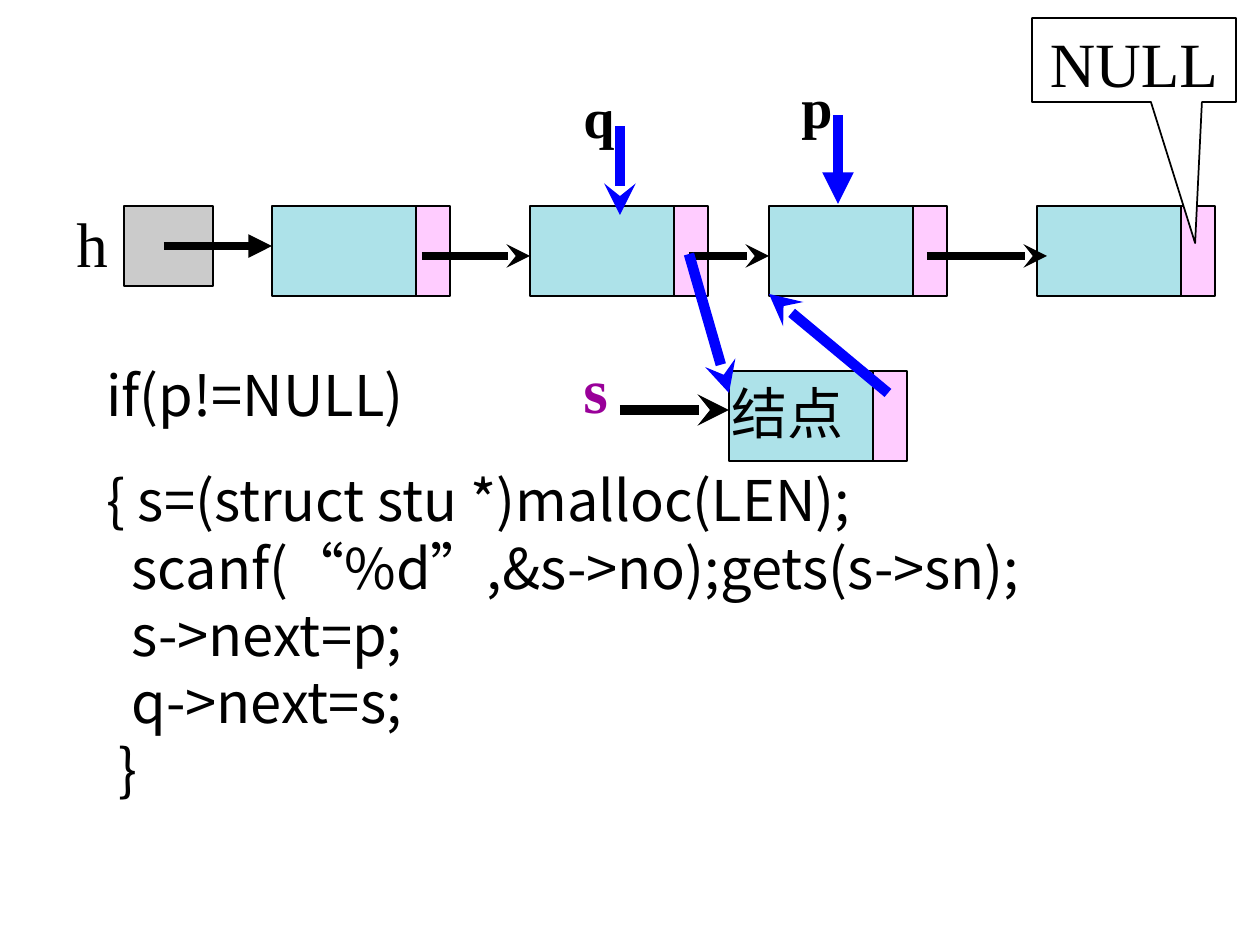
"""Build a slide that shows how a node is put into a linked list."""
from lxml import etree
from pptx import Presentation
from pptx.dml.color import RGBColor
from pptx.enum.shapes import MSO_CONNECTOR, MSO_SHAPE
from pptx.enum.text import MSO_ANCHOR, PP_ALIGN
from pptx.oxml.ns import qn
from pptx.util import Pt

RECT = MSO_SHAPE.RECTANGLE
CALL = MSO_SHAPE.RECTANGULAR_CALLOUT
LINE = MSO_CONNECTOR.STRAIGHT
LEFT, MID = PP_ALIGN.LEFT, PP_ALIGN.CENTER
TOP = MSO_ANCHOR.TOP
PX = 914400 / 126
SERIF, SANS = "Times New Roman", "Noto Sans CJK SC"
INK = {"black": "000000", "blue": "0000FF", "plum": "990099", "gray": "CBCBCB",
       "teal": "ADE2E9", "pink": "FFCCFF", "white": "FFFFFF"}


def emu(*spots):
    return [round(spot * PX) for spot in spots]


def write(shape, text, size=32, font=SERIF, color="black", bold=False,
          align=LEFT, wrap=False, gap=0):
    frame = shape.text_frame
    frame.word_wrap = wrap
    frame.vertical_anchor = TOP
    for row, line in enumerate(text.split("\n")):
        para = frame.add_paragraph() if row else frame.paragraphs[0]
        para.alignment = align
        para.line_spacing = Pt(size * 1.2)
        para.space_before = Pt(gap if row == 1 else 0)
        run = para.add_run()
        run.text = line
        run.font.size = Pt(size)
        run.font.name = font
        run.font.bold = bold
        run.font.color.rgb = RGBColor.from_string(INK[color])
        east = etree.SubElement(run.font._element, qn("a:ea"))
        east.set("typeface", SANS)


prs = Presentation()
prs.slide_width, prs.slide_height = emu(1260, 945)
slide = prs.slides.add_slide(prs.slide_layouts[6])
shapes = slide.shapes

boxes = [(RECT, 124, 206, 89, 80, "gray")]
for x, y in [(272, 206), (530, 206), (769, 206), (1037, 206), (729, 371)]:
    boxes.append((RECT, x, y, 144, 90, "teal"))
    boxes.append((RECT, x + 144, y, 34, 90, "pink"))
boxes.append((CALL, 1032, 18, 204, 84, "white"))

for kind, x, y, wide, high, fill in boxes:
    box = shapes.add_shape(kind, *emu(x, y, wide, high))
    box.shadow.inherit = False
    box.fill.solid()
    box.fill.fore_color.rgb = RGBColor.from_string(INK[fill])
    box.line.color.rgb = RGBColor.from_string(INK["black"])
    box.line.width = Pt(1)

box.adjustments[0] = 0.3
box.adjustments[1] = 2.18
write(box, "NULL", size=36, align=MID, wrap=True)

code = """if(p!=NULL)
{ s=(struct stu *)malloc(LEN);
  scanf(“%d”,&s->no);gets(s->sn);
  s->next=p;
  q->next=s;
 }"""
body = shapes.add_textbox(*emu(94, 354, 1071, 521))
write(body, code, font=SANS, wrap=True, gap=22)

labels = [
    ("h", 64, 198, 57, 88, {"size": 36}),
    ("p", 789, 66, 57, 81, {"bold": True}),
    ("q", 571, 76, 57, 81, {"bold": True}),
    ("结点", 719, 372, 137, 81, {}),
    ("s", 571, 344, 49, 88, {"size": 36, "bold": True, "color": "plum"}),
]
for text, x, y, wide, high, look in labels:
    write(shapes.add_textbox(*emu(x, y, wide, high)), text, **look)

arrows = [
    (164, 246, 272, 246, "black", 4.5, "triangle"),
    (422, 256, 530, 256, "black", 4.5, "stealth"),
    (689, 256, 769, 256, "black", 4.5, "stealth"),
    (927, 256, 1047, 256, "black", 4.5, "stealth"),
    (838, 115, 838, 204, "blue", 6, "triangle"),
    (620, 126, 620, 215, "blue", 6, "stealth"),
    (620, 410, 729, 410, "black", 6, "stealth"),
    (888, 393, 769, 294, "blue", 6, "stealth"),
    (689, 254, 729, 393, "blue", 6, "stealth"),
]
for *ends, color, width, head in arrows:
    arrow = shapes.add_connector(LINE, *emu(*ends))
    arrow.line.color.rgb = RGBColor.from_string(INK[color])
    arrow.line.width = Pt(width)
    tip = etree.SubElement(arrow.line._get_or_add_ln(), qn("a:tailEnd"))
    tip.set("type", head)
    etree.SubElement(arrow._element.spPr, qn("a:effectLst"))

prs.save("out.pptx")
